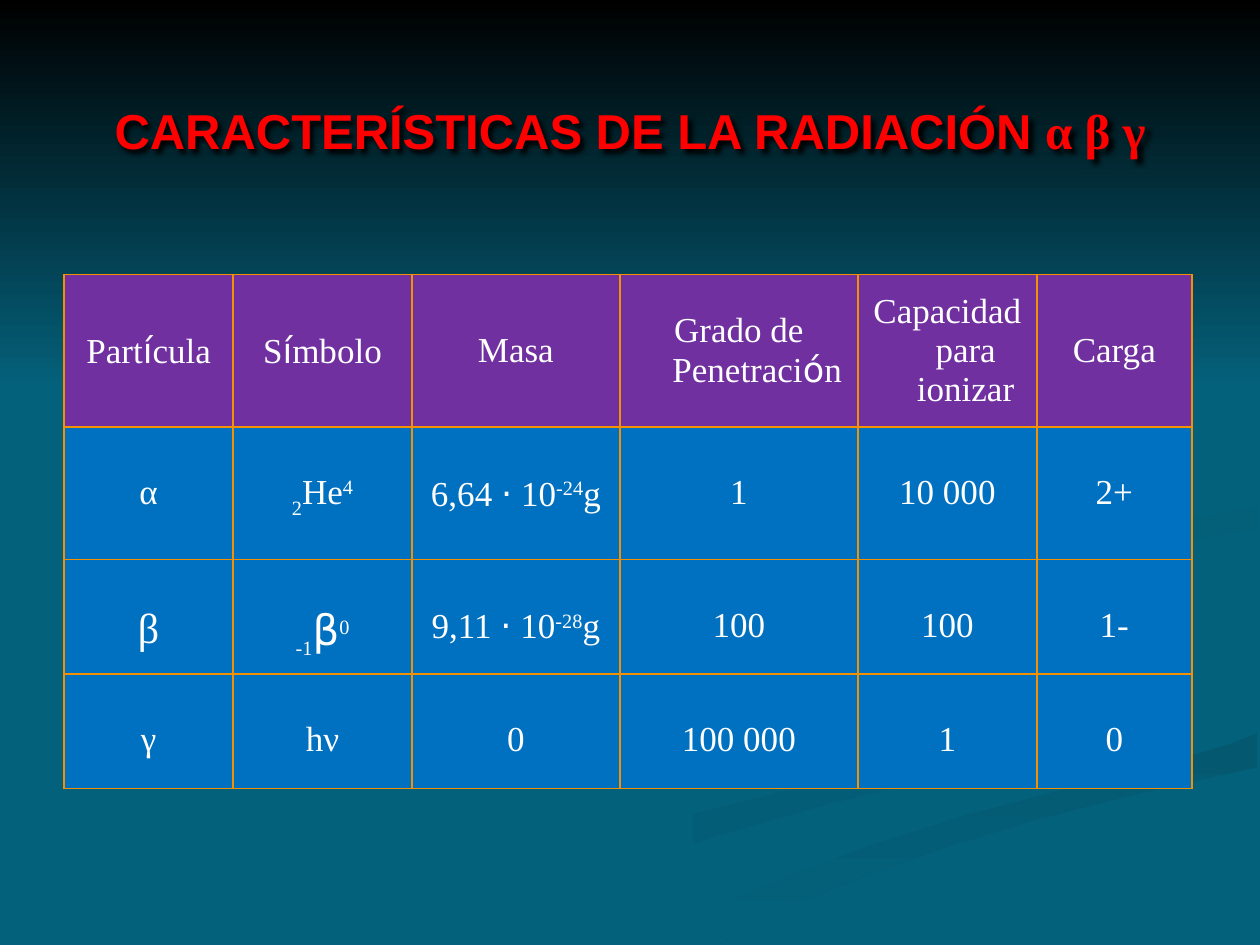
import pptx
import pptx.util
import pptx.dml.color
import pptx.enum.shapes
import pptx.enum.text
import pptx.oxml

WIDE, HIGH = 10, 7.5
TEAL, GOLD, WHITE = "04617B", "F49100", "FFFFFF"
SERIF, SANS = "Times New Roman", "DejaVu Sans"
DOT = ("·", {"font": SANS})


def up(text):
    return text, {"base": 30}


def low(text):
    return text, {"base": -30}


def sans(text, **fmt):
    return text, {"font": SANS, **fmt}


TITLE = [("CARACTERÍSTICAS DE LA RADIACIÓN ", {"font": "Arial"}), "α β γ"]
COLS = [1.34, 1.42, 1.65, 1.89, 1.42, 1.23]
ROWS = [1.21, 1.05, 0.91, 0.91]
CELLS = [
    [["Part", sans("í"), "cula"], ["S", sans("í"), "mbolo"], ["Masa"],
     ["Grado de Penetraci", sans("ó"), "n"], ["Capacidad para ionizar"], ["Carga"]],
    [["α"], [low("2"), "He", up("4")], ["6,64 ", DOT, " 10", up("-24"), "g"],
     ["1"], ["10 000"], ["2+"]],
    [[("β", {"size": 24})], [low("-1"), sans("β", size=24), up("0")],
     ["9,11 ", DOT, " 10", up("-28"), "g"], ["100"], ["100"], ["1-"]],
    [["γ"], ["hν"], ["0"], ["100 000"], ["1"], ["0"]],
]

# Background ribbons: colours, clockwise gradient angle, outline in inches
RIBBONS = [
    ((TEAL, "045D76"), 0, [
        (7.82, 5.53), (7.31, 5.33), (6.42, 5.07), (5.87, 4.81), (5.75, 4.59),
        (5.7, 4.72), (5.93, 4.91), (6.79, 5.19), (7.52, 5.43), (7.83, 5.59),
        (7.83, 5.74), (7.59, 5.9), (7.14, 6.05), (6.17, 6.29), (5.39, 6.49),
        (4.58, 6.74), (3.76, 7.07), (3, 7.49), (3.61, 7.49), (4.31, 7.14),
        (4.99, 6.87), (5.64, 6.65), (6.51, 6.4), (7.4, 6.18), (7.86, 6.01),
        (8, 5.81)]),
    (("045971", TEAL), 90, [
        (5.19, 7.47), (5.03, 7.49), (5.71, 7.49), (5.99, 7.33), (6.48, 7.1),
        (6.95, 6.92), (7.52, 6.72), (8.21, 6.51), (9.03, 6.3), (9.98, 6.09),
        (9.98, 5.81), (9.76, 5.9), (9.36, 6.02), (8.67, 6.2), (7.64, 6.47),
        (6.95, 6.69), (6.29, 6.93), (5.69, 7.19)]),
    ((TEAL, TEAL), 0, [
        (7.25, 4.64), (7.35, 4.83), (7.75, 5.03), (8.51, 5.24), (9.2, 5.47),
        (9.43, 5.7), (9.36, 5.87), (9.02, 6.03), (8.43, 6.18), (7.43, 6.43),
        (6.63, 6.68), (5.73, 7.03), (4.77, 7.49), (5.04, 7.49), (5.2, 7.47),
        (5.7, 7.19), (6.3, 6.93), (6.96, 6.69), (7.66, 6.47), (8.68, 6.2),
        (9.36, 6.02), (9.77, 5.9), (9.99, 5.81), (9.99, 5.38), (9.41, 5.27),
        (8.66, 5.09), (8.17, 4.92), (7.82, 4.63), (8, 4.42), (8.5, 4.27),
        (9.33, 4.15), (9.99, 4.02), (9.99, 3.87), (9.42, 3.99), (8.3, 4.15),
        (7.55, 4.32)]),
    (("045C74", TEAL), 45, [
        (7.82, 4.6), (7.91, 4.78), (8.26, 4.96), (8.05, 4.76), (8.16, 4.59),
        (8.59, 4.43), (9.36, 4.29), (9.98, 4.2), (9.98, 4.02), (9.33, 4.15),
        (8.65, 4.24), (8.1, 4.37)]),
]


def inch(size):
    return pptx.util.Inches(size)


def tint(code):
    return pptx.dml.color.RGBColor.from_string(code)


def write(frame, runs, hang=0, **fmt):
    """Fill a frame with one centred line; a run may override the format."""
    frame.word_wrap = True
    line = frame.paragraphs[0]
    line.alignment = pptx.enum.text.PP_ALIGN.CENTER
    if hang:
        props = line._p.get_or_add_pPr()
        props.set("marL", str(inch(hang)))
        props.set("indent", str(-inch(hang)))
    for item in runs:
        words, own = (item, {}) if isinstance(item, str) else item
        look = {"font": SERIF, "size": 20, "color": WHITE, "bold": False, **fmt, **own}
        run = line.add_run()
        run.text = words
        run.font.name = look["font"]
        run.font.size = pptx.util.Pt(look["size"])
        run.font.bold = look["bold"]
        run.font.color.rgb = tint(look["color"])
        if "base" in look:
            run.font._element.set("baseline", str(look["base"] * 1000))


def paint(shape, ends, angle):
    shape.shadow.inherit = False
    shape.line.fill.background()
    if ends[0] == ends[1]:
        shape.fill.solid()
        shape.fill.fore_color.rgb = tint(ends[0])
        return
    shape.fill.gradient()
    shape.fill.gradient_angle = 360 - angle if angle else 0
    for stop, code, place in zip(shape.fill.gradient_stops, ends, (0, 1)):
        stop.color.rgb = tint(code)
        stop.position = place


def parse_xml(tag, attrs, inner):
    space = 'xmlns:a="http://schemas.openxmlformats.org/drawingml/2006/main"'
    return pptx.oxml.parse_xml(f"<a:{tag} {space} {attrs}>{inner}</a:{tag}>")


def edge(cell):
    for side in "LRTB":
        cell._tc.get_or_add_tcPr().append(parse_xml(
            "ln" + side, 'w="12700"',
            f'<a:solidFill><a:srgbClr val="{GOLD}"/></a:solidFill>'))


def draw_back(slide):
    slide.background.fill.solid()
    slide.background.fill.fore_color.rgb = tint(TEAL)
    for ends, angle, points in RIBBONS:
        grid = [(x * 100, y * 100) for x, y in points]
        pen = slide.shapes.build_freeform(*grid[0], scale=inch(1) / 100)
        pen.add_line_segments(grid[1:], close=True)
        paint(pen.convert_to_shape(), ends, angle)
    sky = slide.shapes.add_shape(
        pptx.enum.shapes.MSO_SHAPE.RECTANGLE, 0, 0, inch(WIDE), inch(3.08))
    paint(sky, ("000000", TEAL), 90)


def draw_table(slide):
    table = slide.shapes.add_table(
        len(ROWS), len(COLS), inch(0.51), inch(2.18),
        inch(sum(COLS)), inch(sum(ROWS))).table
    table.first_row = table.horz_banding = False
    for col, size in zip(table.columns, COLS):
        col.width = inch(size)
    for r, (row, size) in enumerate(zip(table.rows, ROWS)):
        row.height = inch(size)
        for cell, runs in zip(row.cells, CELLS[r]):
            edge(cell)
            cell.fill.solid()
            cell.fill.fore_color.rgb = tint("0070C0" if r else "7030A0")
            if r:
                cell.margin_top = inch(0.37)
            else:
                cell.vertical_anchor = pptx.enum.text.MSO_ANCHOR.MIDDLE
            write(cell.text_frame, runs, hang=0.29)


def draw_title(slide):
    box = slide.shapes.add_textbox(inch(0.59), inch(0.6), inch(8.82), inch(0.86))
    box.text_frame.vertical_anchor = pptx.enum.text.MSO_ANCHOR.MIDDLE
    write(box.text_frame, TITLE, size=28, color="FF0000", bold=True)
    box._element.spPr.append(parse_xml(
        "effectLst", "",
        '<a:outerShdw blurRad="38100" dist="38100" dir="2700000">'
        '<a:srgbClr val="000000"/></a:outerShdw>'))


def main():
    deck = pptx.Presentation()
    deck.slide_width, deck.slide_height = inch(WIDE), inch(HIGH)
    slide = deck.slides.add_slide(deck.slide_layouts[6])
    draw_back(slide)
    draw_table(slide)
    draw_title(slide)
    deck.save("out.pptx")


if __name__ == "__main__":
    main()
